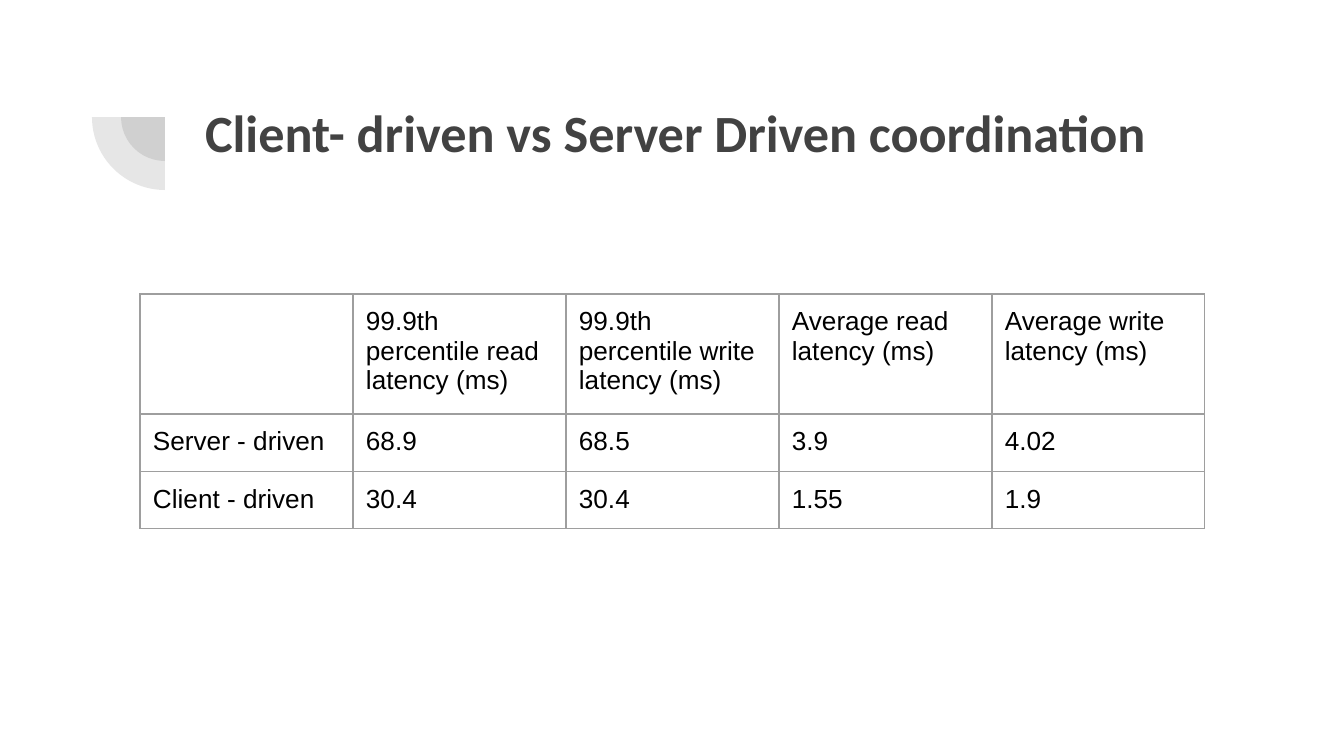
import lxml.etree
import pptx
import pptx.dml.color
import pptx.enum.shapes
import pptx.oxml.ns
import pptx.util

PX = 914400 / 134.4
DARK = pptx.dml.color.RGBColor(0x42, 0x42, 0x42)
BLACK = pptx.dml.color.RGBColor(0x00, 0x00, 0x00)
BORDER = pptx.dml.color.RGBColor(0x9E, 0x9E, 0x9E)
TITLE_FONT = {"name": "Calibri", "size": pptx.util.Pt(28), "bold": True}
CELL_FONT = {"name": "Arial", "size": pptx.util.Pt(14), "bold": False}
INSET = 13
ROWS = [
    ["", "99.9th percentile read latency (ms)", "99.9th percentile write latency (ms)",
     "Average read latency (ms)", "Average write latency (ms)"],
    ["Server - driven", "68.9", "68.5", "3.9", "4.02"],
    ["Client - driven", "30.4", "30.4", "1.55", "1.9"],
]


def px(n):
    """Turn pixels into EMU."""
    return pptx.util.Emu(round(n * PX))


def sub(parent, tag, **attrs):
    """Append a DrawingML child element."""
    return lxml.etree.SubElement(parent, pptx.oxml.ns.qn(tag), attrs)


def write(p, text, fmt, color):
    """Write one formatted run into a paragraph."""
    r = p.add_run()
    r.text = text
    for name, value in fmt.items():
        setattr(r.font, name, value)
    r.font.color.rgb = color


def set_margins(target):
    """Give a cell or text frame equal insets."""
    for side in ("left", "top", "right", "bottom"):
        setattr(target, f"margin_{side}", px(INSET))


def add_quarter(s, cx, cy, radius):
    """Add a translucent quarter disc around a centre."""
    sp = s.shapes.add_shape(pptx.enum.shapes.MSO_SHAPE.PIE, px(cx - radius),
                            px(cy - radius), px(2 * radius), px(2 * radius))
    sp.adjustments[0], sp.adjustments[1] = 108, 162
    sp.rotation = 270
    sp.shadow.inherit = False
    sp.line.fill.background()
    sp.fill.solid()
    sp.fill.fore_color.rgb = DARK
    color = sp.fill._xPr.find(".//" + pptx.oxml.ns.qn("a:srgbClr"))
    sub(color, "a:alpha", val="13000")


def add_title(s, text, x, y, w, h):
    """Add the slide title."""
    tf = s.shapes.add_textbox(px(x), px(y), px(w), px(h)).text_frame
    tf.word_wrap = True
    set_margins(tf)
    write(tf.paragraphs[0], text, TITLE_FONT, DARK)


def set_borders(cell):
    """Draw a thin line on all four sides of a cell."""
    tc_pr = cell._tc.get_or_add_tcPr()
    for i, side in enumerate("LRTB"):
        ln = sub(tc_pr, f"a:ln{side}", w=str(pptx.util.Pt(0.75)))
        sub(sub(ln, "a:solidFill"), "a:srgbClr", val=str(BORDER))
        tc_pr.insert(i, ln)


def add_table(s, rows, x, y, col_width, row_heights):
    """Add the bordered latency table."""
    cols = len(rows[0])
    table = s.shapes.add_table(len(rows), cols, px(x), px(y), px(col_width * cols),
                               px(sum(row_heights))).table
    table.first_row = table.horz_banding = False
    for col in table.columns:
        col.width = px(col_width)
    for i, (values, height) in enumerate(zip(rows, row_heights)):
        table.rows[i].height = px(height)
        for j, text in enumerate(values):
            cell = table.cell(i, j)
            set_margins(cell)
            cell.fill.background()
            set_borders(cell)
            if text:
                write(cell.text_frame.paragraphs[0], text, CELL_FONT, BLACK)


def main():
    """Build and save the slide."""
    prs = pptx.Presentation()
    prs.slide_width, prs.slide_height = px(1344), px(756)
    s = prs.slides.add_slide(prs.slide_layouts[6])
    for radius in (44, 73):
        add_quarter(s, 165, 117, radius)
    add_title(s, "Client- driven vs Server Driven coordination", 192, 87, 1034, 147)
    add_table(s, ROWS, 140, 294, 213, (115, 56, 56))
    prs.save("out.pptx")


if __name__ == "__main__":
    main()
